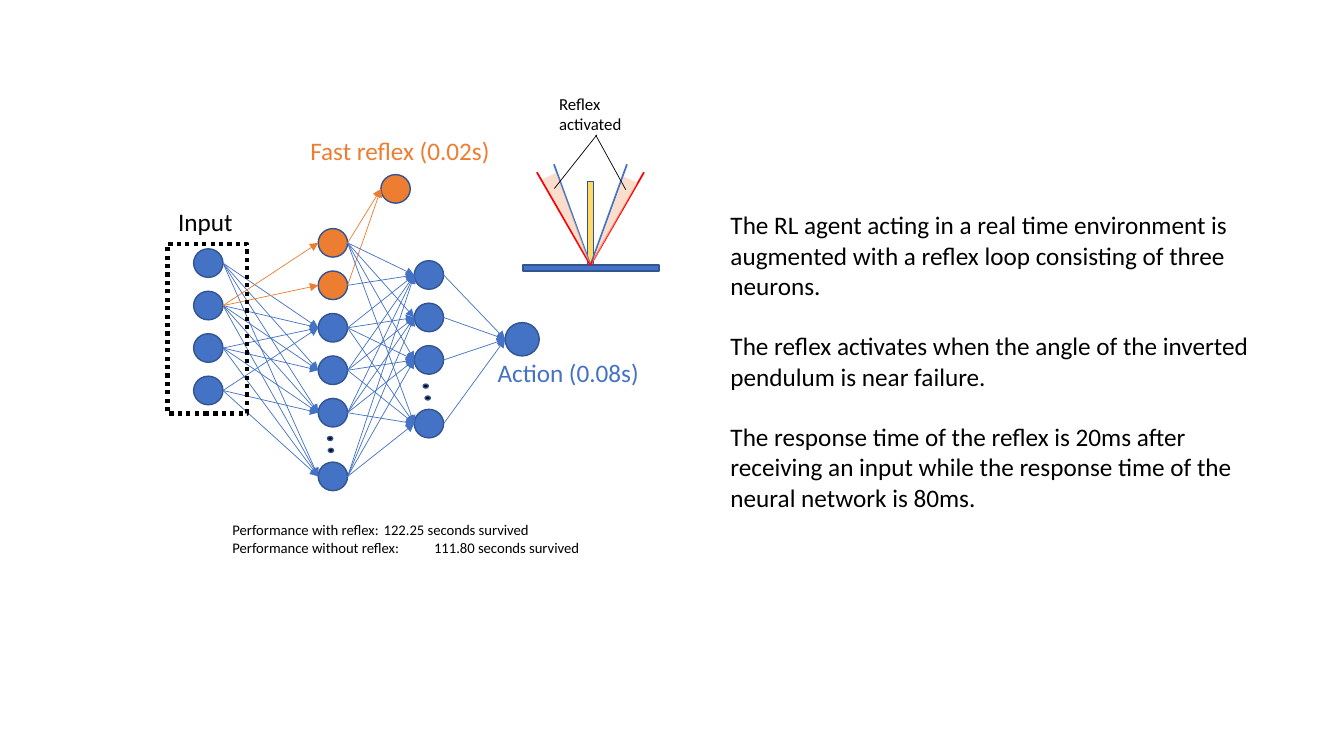
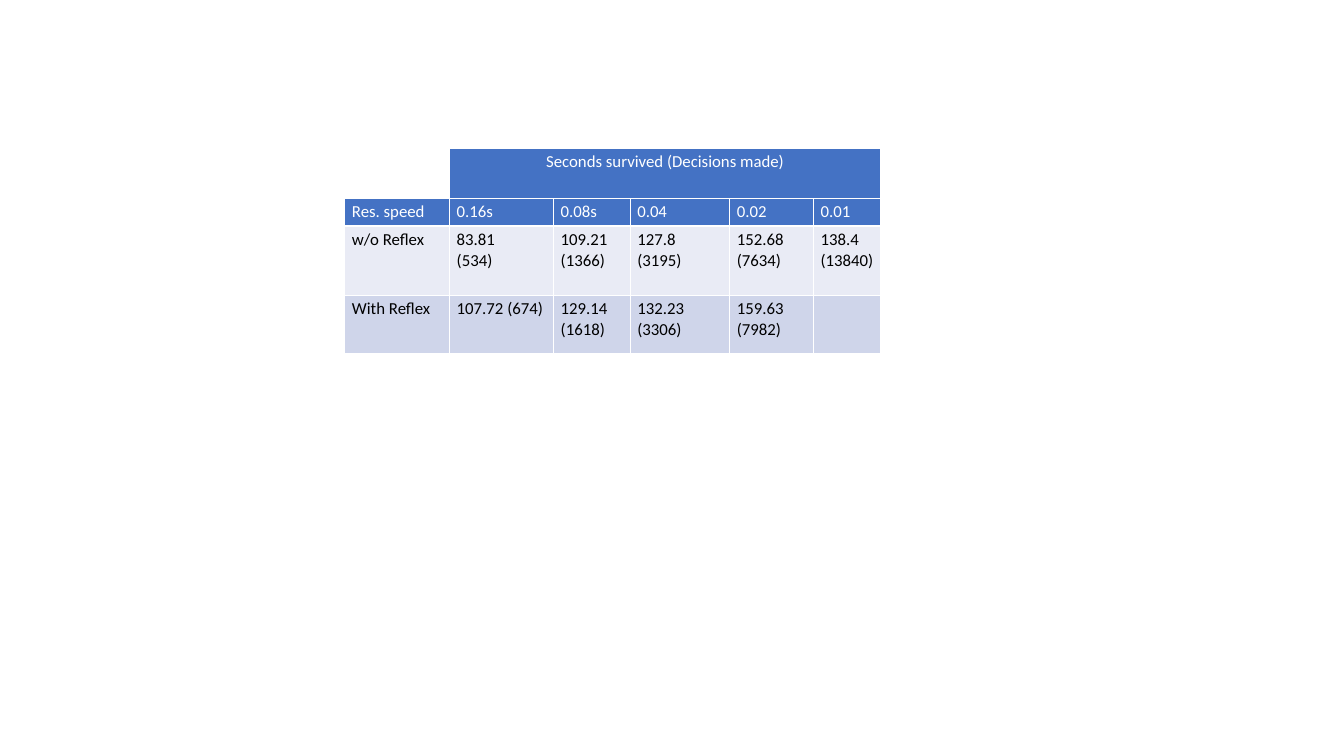
from itertools import product

from lxml import etree
from pptx import Presentation
from pptx import util as u
from pptx.dml.color import RGBColor
from pptx.enum import dml, shapes, text
from pptx.oxml.ns import qn

FONT = "Calibri"
COLOURS = {
    "blue": "4472C4", "edge": "325491", "orange": "ED7D31", "black": "000000",
    "white": "FFFFFF", "pole": "FFD966", "red": "FF0000", "zone": "F8CBAD",
    "band1": "E9EBF5", "band2": "CFD5EA",
}

# Network: lengths in cm, neuron places counted in steps down each layer
STEP = 1.07
NEURON = (0.74, 0.72)
ACTION_SIZE = (0.86, 0.84)
LAYERS = {  # centre x, first centre y, places
    "input": (5.25, 6.63, (0, 1, 2, 3)),
    "hidden": (8.39, 6.12, (0, 1, 2, 3, 4, 5.5)),
    "second": (10.81, 6.93, (0, 1, 2, 3.5)),
    "reflex": (9.97, 4.76, (0,)),
    "action": (13.16, 8.55, (0,)),
}
REFLEX_HIDDEN = (0, 1)
DOTS = [(8.32, 11.05), (8.34, 11.35), (10.73, 9.73), (10.78, 10.03)]
DOT = (0.13, 0.1)
LINKS = [  # from layer, to layer, colour, pairs of neurons
    ("input", "hidden", "blue",
     [pair for pair in product(range(4), range(2, 6)) if pair != (3, 3)]),
    ("input", "hidden", "orange", [(1, 0), (1, 1)]),
    ("hidden", "reflex", "orange", [(0, 0), (1, 0)]),
    ("hidden", "second", "blue",
     [*product((0, 2, 3, 4, 5), range(4)), (1, 0)]),
    ("second", "action", "blue", list(product(range(4), range(1)))),
]
INPUT_FRAME = (4.22, 6.15, 2.01, 4.27)

# Pendulum
PIVOT = (14.88, 6.68)
POLE = (14.81, 4.57, 0.15, 2.13)
CART = (13.18, 6.68, 3.43, 0.15)
LIMITS = [(0.92, 2.54, "blue"), (1.35, 2.34, "red")]  # reach, rise, colour
ZONES = [((14.17, 4.32, 0.38, 2.44), 155.2), ((15.21, 4.42, 0.38, 2.34), 204.8)]
CALLOUTS = [((13.97, 4.75), (15.04, 3.4)), ((15.77, 4.78), (15.01, 3.4))]

LABELS = [  # box, size, colour, space after, paragraphs
    ((7.57, 3.28, 5.51, 0.91), 18, "orange", 0, ["Fast reflex (0.02s)"]),
    ((12.29, 8.89, 4.14, 0.91), 18, "blue", 0, ["Action (0.08s)"]),
    ((13.84, 2.24, 2.24, 1.2), 12, "black", 0, ["Reflex activated"]),
    ((5.61, 13, 10.46, 1.14), 10.5, "black", 0, [
        "Performance with reflex: \t122.25 seconds survived",
        "Performance without reflex: \t111.80 seconds survived"]),
    ((18.16, 5.16, 13.72, 7.95), 18, "black", 21.6, [
        "The RL agent acting in a real time environment is augmented with a "
        "reflex loop consisting of three neurons.",
        "The reflex activates when the angle of the inverted pendulum is near "
        "failure.",
        "The response time of the reflex is 20ms after receiving an input while "
        "the response time of the neural network is 80ms."]),
    ((4.24, 5.08, 2.18, 1.02), 18, "black", 0, ["Input"]),
]

# Table
TABLE_AT = (8.69, 3.73)
COLUMNS = (2.64, 2.62, 1.93, 2.51, 2.11, 1.7)
ROWS = [  # height, fill, text colour, cells
    (1.27, "blue", "white",
     ["", "Seconds survived (Decisions made)", "", "", "", ""]),
    (0.68, "blue", "white",
     ["Res. speed", "0.16s", "0.08s", "0.04", "0.02", "0.01"]),
    (1.74, "band1", "black",
     ["w/o Reflex", "83.81\n(534)", "109.21\n(1366)", "127.8\n(3195)",
      "152.68\n(7634)", "138.4\n(13840)"]),
    (1.47, "band2", "black",
     ["With Reflex", "107.72 (674)", "129.14\n(1618)", "132.23\n(3306)",
      "159.63\n(7982)", ""]),
]


def rgb(name):
    """Return a named colour."""
    return RGBColor.from_string(COLOURS[name])


def cm(values):
    """Turn numbers into lengths in cm."""
    return [u.Cm(v) for v in values]


def add_shape(s, kind, box, fill=None, line="edge", width=1):
    """Add a preset shape with a plain fill and outline."""
    sp = s.shapes.add_shape(kind, *cm(box))
    sp.shadow.inherit = False
    if fill:
        sp.fill.solid()
        sp.fill.fore_color.rgb = rgb(fill)
    else:
        sp.fill.background()
    if line:
        sp.line.color.rgb = rgb(line)
        sp.line.width = u.Pt(width)
    else:
        sp.line.fill.background()
    return sp


def add_ellipse(s, centre, size, fill):
    """Add an ellipse round a centre."""
    (x, y), (w, h) = centre, size
    add_shape(s, shapes.MSO_SHAPE.OVAL, (x - w / 2, y - h / 2, w, h), fill)


def add_line(s, start, end, colour, width, arrow=False):
    """Add a straight line, with an arrowhead at its end if asked."""
    cn = s.shapes.add_connector(shapes.MSO_CONNECTOR.STRAIGHT, *cm(start + end))
    cn.line.color.rgb = rgb(colour)
    cn.line.width = u.Pt(width)
    if arrow:
        ln = cn.line._get_or_add_ln()
        etree.SubElement(ln, qn("a:tailEnd"), type="triangle")
    etree.SubElement(cn._element.spPr, qn("a:effectLst"))


def write(tf, lines, size, colour, after=0, align=None):
    """Fill a text frame, one paragraph a line."""
    for i, line in enumerate(lines):
        p = tf.add_paragraph() if i else tf.paragraphs[0]
        p.text = line
        p.alignment = align
        p.space_after = u.Pt(after)
        p.font.name = FONT
        p.font.size = u.Pt(size)
        p.font.bold = False
        p.font.color.rgb = rgb(colour)


def neurons(layer):
    """Return the centres of a layer's neurons."""
    x, top, places = LAYERS[layer]
    return [(x, top + STEP * place) for place in places]


def layer_size(layer):
    """Return the width and height of a layer's neurons."""
    return ACTION_SIZE if layer == "action" else NEURON


def add_network(s):
    """Draw the neurons and the links between the layers."""
    for layer in LAYERS:
        for i, centre in enumerate(neurons(layer)):
            reflex = layer == "reflex" or layer == "hidden" and i in REFLEX_HIDDEN
            add_ellipse(s, centre, layer_size(layer), "orange" if reflex else "blue")
    for centre in DOTS:
        add_ellipse(s, centre, DOT, "black")
    for source, target, colour, pairs in LINKS:
        for i, j in pairs:
            x1, y1 = neurons(source)[i]
            x2, y2 = neurons(target)[j]
            add_line(s, (x1 + layer_size(source)[0] / 2, y1),
                     (x2 - layer_size(target)[0] / 2, y2), colour, 0.5, True)
    frame = add_shape(s, shapes.MSO_SHAPE.RECTANGLE, INPUT_FRAME, None, "black", 3)
    frame.line.dash_style = dml.MSO_LINE.ROUND_DOT


def add_pendulum(s):
    """Draw the pendulum, its limits and the reflex zones."""
    add_shape(s, shapes.MSO_SHAPE.RECTANGLE, POLE, "pole")
    add_shape(s, shapes.MSO_SHAPE.RECTANGLE, CART, "blue")
    x, y = PIVOT
    for reach, rise, colour in LIMITS:
        for side in (-1, 1):
            add_line(s, PIVOT, (x + side * reach, y - rise), colour, 1.25)
    for box, angle in ZONES:
        sp = add_shape(s, shapes.MSO_SHAPE.ISOSCELES_TRIANGLE, box, "zone", None)
        sp.rotation = angle
        clr = sp._element.spPr.find(".//" + qn("a:srgbClr"))
        etree.SubElement(clr, qn("a:alpha"), val="64000")
    for start, end in CALLOUTS:
        add_line(s, start, end, "black", 0.5)


def add_label(s, box, size, colour, after, lines):
    """Add a wrapped text box."""
    tf = s.shapes.add_textbox(*cm(box)).text_frame
    tf.word_wrap = True
    write(tf, lines, size, colour, after)


def format_cell(cell, fill):
    """Give a cell white borders, a fill and narrow margins."""
    tcPr = cell._tc.get_or_add_tcPr()
    for side in ("lnL", "lnR", "lnT", "lnB"):
        ln = etree.SubElement(tcPr, qn("a:" + side), w=str(u.Pt(1)))
        solid = etree.SubElement(ln, qn("a:solidFill"))
        etree.SubElement(solid, qn("a:srgbClr"), val=COLOURS["white"])
    cell.fill.solid()
    cell.fill.fore_color.rgb = rgb(fill)
    cell.margin_left = cell.margin_right = u.Cm(0.18)
    cell.margin_top = cell.margin_bottom = u.Cm(0.09)


def add_results(s):
    """Add the table of seconds survived."""
    size = (sum(COLUMNS), sum(row[0] for row in ROWS))
    tbl = s.shapes.add_table(len(ROWS), len(COLUMNS), *cm(TABLE_AT + size)).table
    tbl.first_row = tbl.horz_banding = False
    for column, width in zip(tbl.columns, COLUMNS):
        column.width = u.Cm(width)
    for i, (height, fill, colour, values) in enumerate(ROWS):
        tbl.rows[i].height = u.Cm(height)
        for j, value in enumerate(values):
            cell = tbl.cell(i, j)
            format_cell(cell, "white" if i == j == 0 else fill)
            align = text.PP_ALIGN.CENTER if i == 0 else text.PP_ALIGN.LEFT
            write(cell.text_frame, value.split("\n"), 12, colour, align=align)
    tbl.cell(0, 1).merge(tbl.cell(0, len(COLUMNS) - 1))


prs = Presentation()
prs.slide_width, prs.slide_height = u.Cm(33.87), u.Cm(19.05)
blank = prs.slide_layouts[6]

s = prs.slides.add_slide(blank)
add_network(s)
add_pendulum(s)
for label in LABELS:
    add_label(s, *label)

s = prs.slides.add_slide(blank)
add_results(s)

prs.save("out.pptx")
